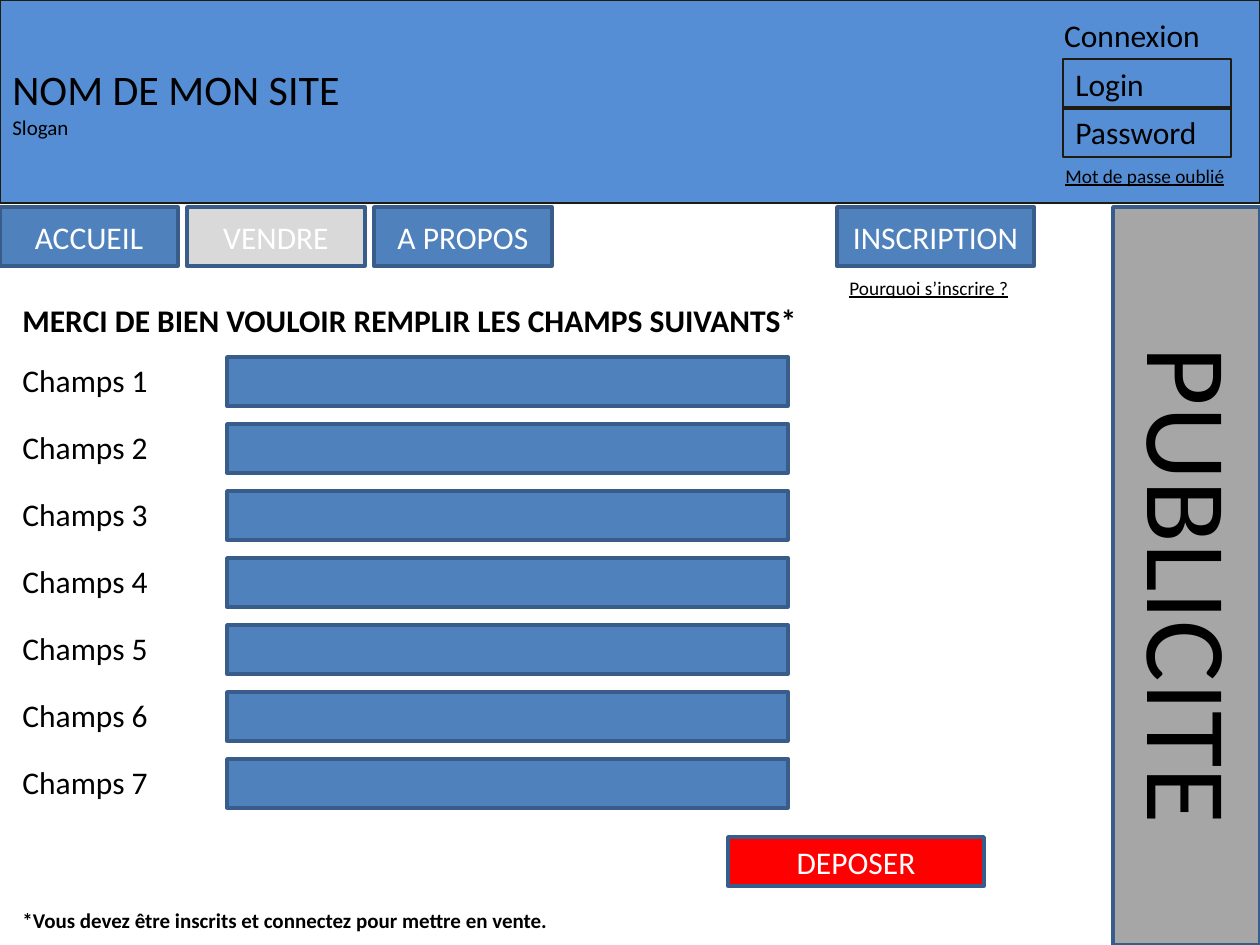
from pptx import Presentation
from pptx.dml.color import RGBColor
from pptx.enum.shapes import MSO_SHAPE
from pptx.enum.text import MSO_ANCHOR, PP_ALIGN
from pptx.util import Emu, Pt

RECT = MSO_SHAPE.RECTANGLE
LEFT, CENTER = PP_ALIGN.LEFT, PP_ALIGN.CENTER
TOP, MIDDLE = MSO_ANCHOR.TOP, MSO_ANCHOR.MIDDLE

BLACK = RGBColor(0x00, 0x00, 0x00)
WHITE = RGBColor(0xFF, 0xFF, 0xFF)
SKY = RGBColor(0x55, 0x8E, 0xD5)
BLUE = RGBColor(0x4F, 0x81, 0xBD)
NAVY = RGBColor(0x38, 0x5D, 0x8A)
INK = RGBColor(0x1E, 0x1C, 0x11)
PALE = RGBColor(0xD9, 0xD9, 0xD9)
GRAY = RGBColor(0xA6, 0xA6, 0xA6)
RED = RGBColor(0xFF, 0x00, 0x00)

PX = 914400 / 126
FONT = "Calibri"

BRAND = [("NOM DE MON SITE", 24), ("Slogan", 12)]
LOGIN = ["Login", "Password"]
MENU = [("ACCUEIL", BLUE), ("VENDRE", PALE), ("A PROPOS", BLUE)]
FIELDS = [f"Champs {n}" for n in range(1, 8)]
LINKS = [
    ("Mot de passe oublié", (1053, 158, 197, 36)),
    ("Pourquoi s’inscrire ?", (837, 270, 197, 36)),
]
NOTES = [
    ("MERCI DE BIEN VOULOIR REMPLIR LES CHAMPS SUIVANTS*", 18, (10, 295, 847, 49)),
    ("*Vous devez être inscrits et connectez pour mettre en vente.", 12,
     (10, 896, 965, 49)),
]

MENU_Y, MENU_W, MENU_H, MENU_STEP = 207, 178, 59, 187
FIELD_Y, FIELD_STEP = 357, 67
LOGIN_Y, LOGIN_STEP = 59, 48

prs = Presentation()
prs.slide_width, prs.slide_height = Emu(9144000), Emu(6858000)
slide = prs.slides.add_slide(prs.slide_layouts[6])


def scale(box):
    return [Emu(round(v * PX)) for v in box]


def write(shape, lines, align=LEFT, anchor=TOP, **style):
    """Put (text, size) lines in one paragraph, split by line breaks."""
    frame = shape.text_frame
    frame.word_wrap = True
    frame.vertical_anchor = anchor
    para = frame.paragraphs[0]
    para.alignment = align
    for i, (text, size) in enumerate(lines):
        if i:
            para.add_line_break()
        run = para.add_run()
        run.text = text
        color = style.get("color", BLACK)
        run.font.color.rgb = color
        look = {"name": FONT, "size": Pt(size),
                "bold": style.get("bold"), "underline": style.get("underline")}
        for key, value in look.items():
            setattr(run.font, key, value)


def panel(box, fill=BLUE, line=NAVY, width=2):
    shape = slide.shapes.add_shape(RECT, *scale(box))
    shape.shadow.inherit = False
    if fill is None:
        shape.fill.background()
    else:
        shape.fill.solid()
        shape.fill.fore_color.rgb = fill
    shape.line.color.rgb = line
    shape.line.width = Pt(width)
    return shape


def button(text, box, fill=BLUE):
    write(panel(box, fill), [(text, 18)], CENTER, MIDDLE, color=WHITE)


def label(text, size, box, *place, **style):
    shape = slide.shapes.add_textbox(*scale(box))
    write(shape, [(text, size)], *place, **style)
    return shape


# Header and sign-in
write(panel((0, 0, 1260, 203), SKY, INK, 0.75), BRAND, LEFT, MIDDLE)
label("Connexion", 18, (994, 10, 276, 50), CENTER)
for i, text in enumerate(LOGIN):
    box = (1063, LOGIN_Y + i * LOGIN_STEP, 168, 50)
    write(panel(box, None, INK, 0.75), [(text, 18)])

# Advert column
panel((1113, 207, 147, 738), GRAY)
advert = label("PUBLICITE", 66, (893, 510, 601, 151), CENTER)
advert.rotation = 90

# Menu
for i, (text, fill) in enumerate(MENU):
    button(text, (i * MENU_STEP, MENU_Y, MENU_W, MENU_H), fill)
button("INSCRIPTION", (837, MENU_Y, 197, MENU_H))
for text, box in LINKS:
    label(text, 11, box, underline=True)

# Form
for i, text in enumerate(FIELDS):
    y = FIELD_Y + i * FIELD_STEP
    label(text, 18, (10, y - 2, 276, 50))
    panel((227, y, 561, 49))
button("DEPOSER", (728, 837, 256, 49), RED)
for text, size, box in NOTES:
    label(text, size, box, LEFT, MIDDLE, bold=True)

prs.save("out.pptx")
